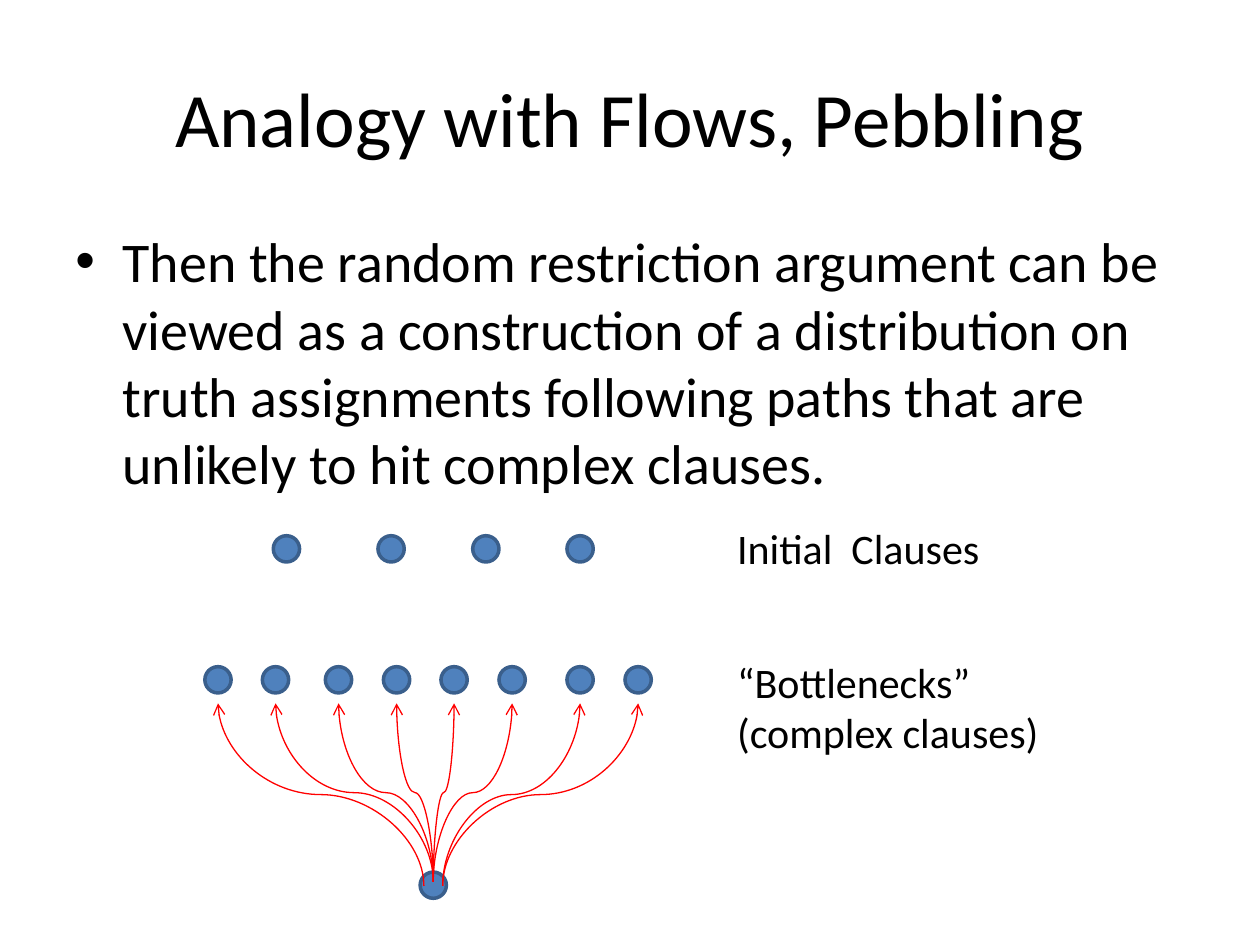
from lxml import etree
from pptx import Presentation
from pptx.dml.color import RGBColor
from pptx.enum.shapes import MSO_CONNECTOR as Link, MSO_SHAPE as Preset
from pptx.enum.text import MSO_ANCHOR as Anchor, PP_ALIGN as Align
from pptx.oxml.ns import qn
from pptx.util import Cm, Pt

DOT = 0.53
CLAUSE_LEFTS = (1.38, 3.49, 5.4, 7.3)
BOTTLENECK_LEFTS = (0, 1.16, 2.43, 3.6, 4.76, 5.93, 7.3, 8.47)
GOAL_LEFT = 4.34
PATH_SHIFTS = (-0.19, 0, 0, 0, 0, 0, 0.19, 0.19)


def color(hex_value):
    """Turn a hex string into a colour."""
    return RGBColor.from_string(hex_value)


def add_text(slide, box, words, size):
    """Place black Calibri text in a box and return its frame."""
    frame = slide.shapes.add_textbox(*map(Cm, box)).text_frame
    frame.word_wrap = True
    frame.text = words
    font = frame.paragraphs[0].runs[0].font
    font.name, font.size = "Calibri", Pt(size)
    font.color.rgb = color("000000")
    return frame


def add_title(slide, box):
    """Place the centred heading."""
    heading = add_text(slide, box, "Analogy with Flows, Pebbling", 44)
    heading.vertical_anchor = Anchor.MIDDLE
    heading.paragraphs[0].alignment = Align.CENTER


def add_argument(slide, box):
    """Place the bulleted statement."""
    words = ("Then the random restriction argument can be viewed as a "
             "construction of a distribution on truth assignments following "
             "paths that are unlikely to hit complex clauses.")
    statement = add_text(slide, box, words, 32).paragraphs[0]
    statement.space_before = Pt(6.4)
    indents = statement._p.get_or_add_pPr()
    indents.set("marL", str(Cm(0.95)))
    indents.set("indent", str(-Cm(0.95)))
    etree.SubElement(indents, qn("a:buFont"), typeface="Arial")
    etree.SubElement(indents, qn("a:buChar"), char="•")


def add_dot(slide, left, top):
    """Place one clause dot."""
    dot = slide.shapes.add_shape(Preset.OVAL, Cm(left), Cm(top), Cm(DOT), Cm(DOT))
    dot.shadow.inherit = False
    dot.fill.solid()
    dot.fill.fore_color.rgb = color("4F81BD")
    dot.line.color.rgb = color("3A5F8C")
    dot.line.width = Pt(2)


def add_path(slide, start, end):
    """Draw a red curve that leaves and arrives vertically."""
    (x1, y1), (x2, y2) = start, end
    middle_x, middle_y = (x1 + x2) / 2, (y1 + y2) / 2
    half_rise, half_run = (y1 - y2) / 2, abs(x2 - x1) / 2
    side = 1 if x2 > x1 else -1
    path = slide.shapes.add_connector(
        Link.CURVE,
        Cm(middle_x + side * half_rise), Cm(middle_y + half_run),
        Cm(middle_x - side * half_rise), Cm(middle_y - half_run))
    path.line.color.rgb = color("FF0000")
    path.line.width = Pt(0.75)
    properties = path._element.spPr
    turn = 90 if side > 0 else 270
    properties.find(qn("a:xfrm")).set("rot", str(turn * 60000))
    etree.SubElement(properties.find(qn("a:ln")), qn("a:tailEnd"), type="arrow")
    etree.SubElement(properties, qn("a:effectLst"))


def add_diagram(slide, left, top):
    """Place the clause rows, their labels and the paths from the goal."""
    add_dot(slide, left + GOAL_LEFT, top + 6.78)
    for clause in CLAUSE_LEFTS:
        add_dot(slide, left + clause, top)
    add_text(slide, (left + 10.48, top - 0.39, 5.5, 1.27), "Initial  Clauses", 24)
    for bottleneck in BOTTLENECK_LEFTS:
        add_dot(slide, left + bottleneck, top + 2.64)
    add_text(slide, (left + 10.48, top + 2.3, 7.2, 2.31),
             "“Bottlenecks” (complex clauses)", 24)
    center = left + DOT / 2
    for bottleneck, shift in zip(BOTTLENECK_LEFTS, PATH_SHIFTS):
        start = center + GOAL_LEFT + shift, top + (7.06 if shift else 6.98)
        add_path(slide, start, (center + bottleneck, top + 3.38))


def main():
    """Build and save the slide."""
    deck = Presentation()
    deck.slide_width, deck.slide_height = Cm(25.4), Cm(19.05)
    slide = deck.slides.add_slide(deck.slide_layouts[6])
    add_title(slide, (1.27, 0.76, 22.86, 3.18))
    add_argument(slide, (1.27, 4.45, 22.86, 12.57))
    add_diagram(slide, 4.13, 10.8)
    deck.save("out.pptx")


if __name__ == "__main__":
    main()
